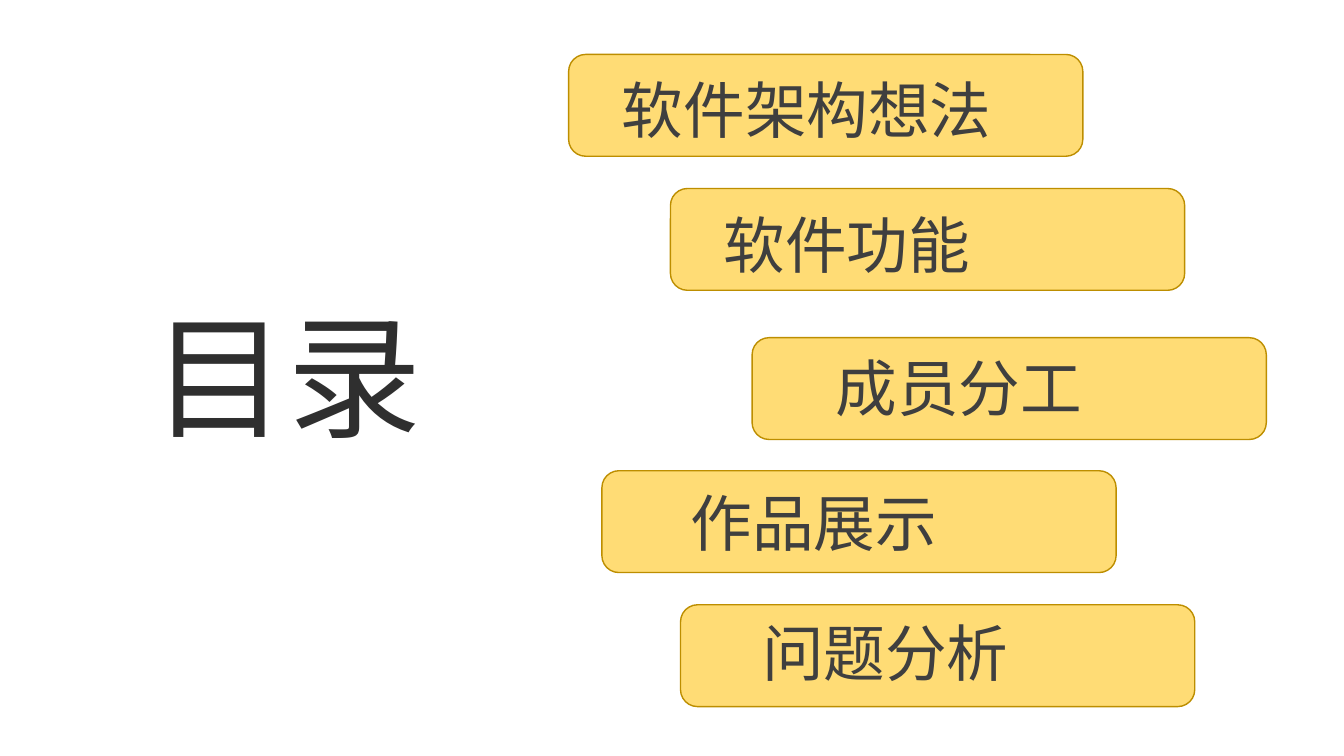
from lxml import etree
from pptx import Presentation
from pptx.dml.color import RGBColor
from pptx.enum.shapes import MSO_SHAPE as Shape
from pptx.enum.text import MSO_AUTO_SIZE as AutoSize, PP_ALIGN as Align
from pptx.oxml.ns import qn
from pptx.util import Inches, Pt

CARD_SIZE = (5.1, 1.01)
LABEL_SIZE = (4.68, 0.84)
TITLE_FORMAT = {"size": Pt(96), "name": "Noto Sans CJK JP"}
LABEL_FORMAT = {"size": Pt(44), "name": "Noto Sans CJK SC"}
TOPICS = [
    ("软件架构想法", (5.64, 0.54), (0.43, 0.12)),
    ("软件功能", (6.65, 1.87), (0.43, 0.13)),
    ("成员分工", (7.46, 3.35), (0.73, 0.07)),
    ("作品展示", (5.97, 4.67), (0.78, 0.09)),
    ("问题分析", (6.75, 6), (0.71, 0.05)),
]


def rgb(value):
    return RGBColor.from_string(value)


def add_text(slide, box, wording, font_format, color, align):
    caption = slide.shapes.add_textbox(*map(Inches, box))
    frame = caption.text_frame
    frame.word_wrap = True
    frame.auto_size = AutoSize.SHAPE_TO_FIT_TEXT
    paragraph = frame.paragraphs[0]
    paragraph.alignment = align
    run = paragraph.add_run()
    run.text = wording
    for attribute, value in font_format.items():
        setattr(run.font, attribute, value)
    run.font.color.rgb = rgb(color)
    east_asian = etree.SubElement(run.font._element, qn("a:ea"))
    east_asian.set("typeface", font_format["name"])


def add_topic(slide, box, wording, label_offset):
    card = slide.shapes.add_shape(Shape.ROUNDED_RECTANGLE, *map(Inches, box))
    card.shadow.inherit = False
    card.fill.solid()
    card.fill.fore_color.rgb = rgb("FFC000")
    tint = card._element.spPr.find(qn("a:solidFill"))[0]
    etree.SubElement(tint, qn("a:alpha")).set("val", "54000")
    card.line.color.rgb = rgb("BD8E00")
    card.line.width = Pt(1)

    left, top = box[:2]
    label_box = (left + label_offset[0], top + label_offset[1], *LABEL_SIZE)
    add_text(slide, label_box, wording, LABEL_FORMAT, "3F3F3F", Align.LEFT)


def build_contents(slide):
    add_text(slide, (0.66, 2.86, 4.38, 1.72), "目录", TITLE_FORMAT, "2F2F2F", Align.CENTER)
    for wording, corner, label_offset in TOPICS:
        add_topic(slide, (*corner, *CARD_SIZE), wording, label_offset)


def main():
    deck = Presentation()
    deck.slide_width = Inches(13.33)
    deck.slide_height = Inches(7.5)
    build_contents(deck.slides.add_slide(deck.slide_layouts[6]))
    deck.save("out.pptx")


if __name__ == "__main__":
    main()
